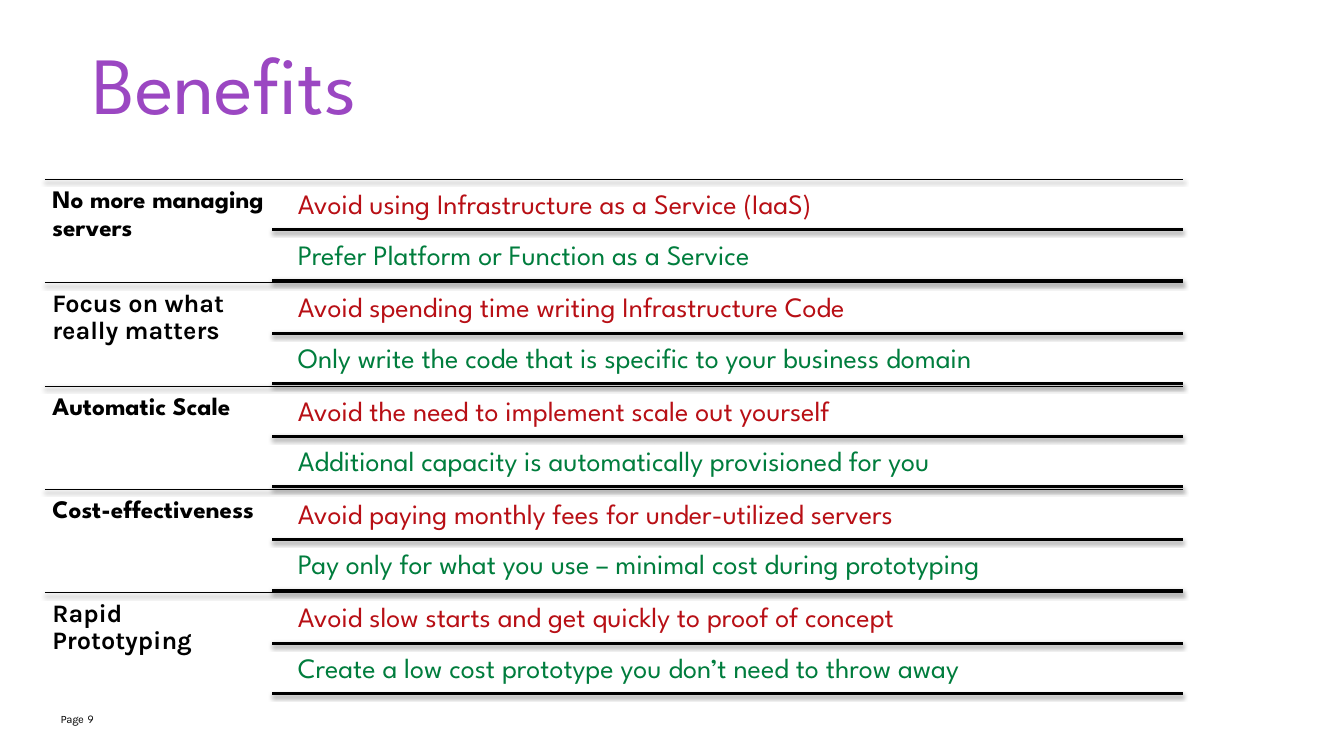
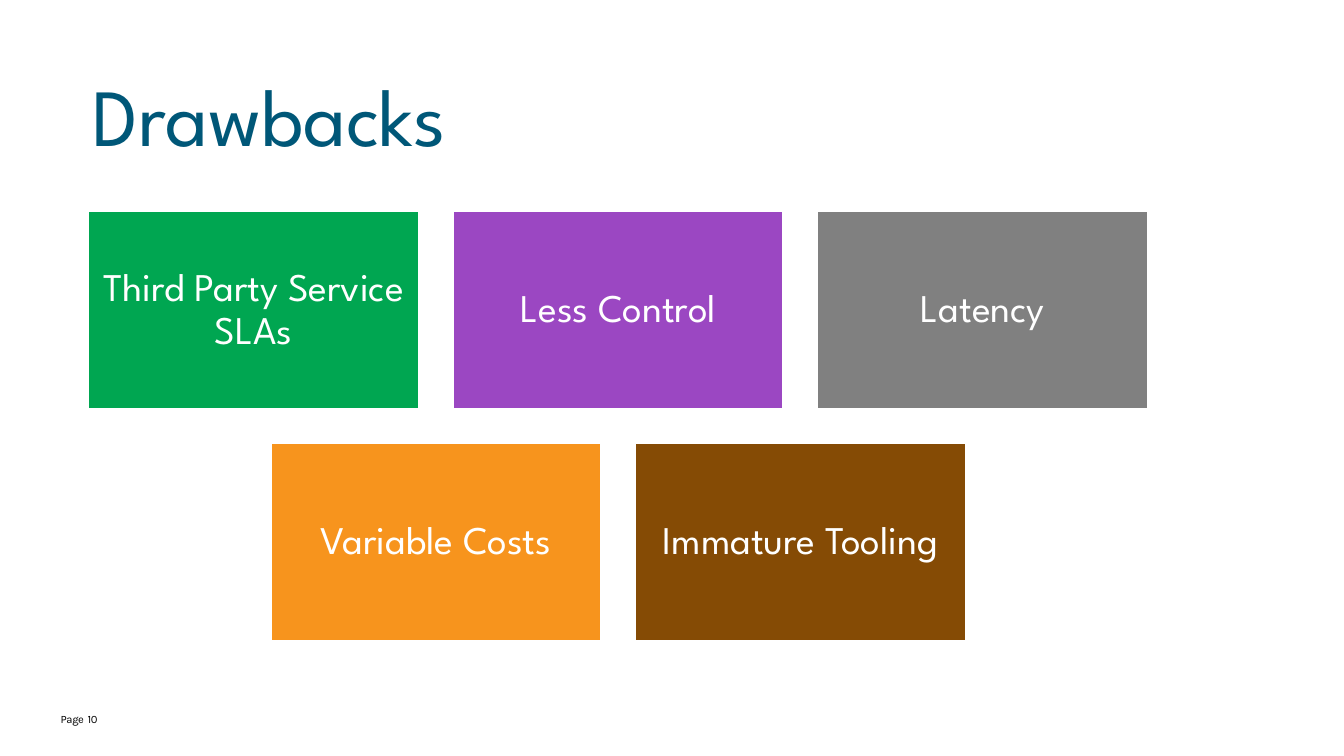
from lxml import etree
from pptx import Presentation
from pptx.dml.color import RGBColor
from pptx.enum.shapes import MSO_CONNECTOR, MSO_SHAPE
from pptx.enum.text import MSO_ANCHOR, PP_ALIGN
from pptx.oxml.ns import qn
from pptx.util import Pt

LEFT, CENTER = PP_ALIGN.LEFT, PP_ALIGN.CENTER
TOP, MIDDLE, BOTTOM = MSO_ANCHOR.TOP, MSO_ANCHOR.MIDDLE, MSO_ANCHOR.BOTTOM
STRAIGHT, RECT = MSO_CONNECTOR.STRAIGHT, MSO_SHAPE.RECTANGLE

SPARTAN, KARLA = "League Spartan", "Karla"
BLACK, WHITE, PURPLE, BLUE = "000000", "FFFFFF", "9B47C2", "005778"
RED, DARK_GREEN = "B80F15", "007D3D"
GREEN, GRAY, ORANGE, BROWN = "00A651", "808080", "F7941D", "854B05"

BENEFITS = [
    ("No more managing servers", SPARTAN,
     "Avoid using Infrastructure as a Service (IaaS)",
     "Prefer Platform or Function as a Service"),
    ("Focus on what really matters", KARLA,
     "Avoid spending time writing Infrastructure Code",
     "Only write the code that is specific to your business domain"),
    ("Automatic Scale", SPARTAN,
     "Avoid the need to implement scale out yourself",
     "Additional capacity is automatically provisioned for you"),
    ("Cost-effectiveness", SPARTAN,
     "Avoid paying monthly fees for under-utilized servers",
     "Pay only for what you use – minimal cost during prototyping"),
    ("Rapid Prototyping", KARLA,
     "Avoid slow starts and get quickly to proof of concept",
     "Create a low cost prototype you don’t need to throw away"),
]
DRAWBACKS = [
    ("Third Party Service SLAs", GREEN),
    ("Less Control", PURPLE),
    ("Latency", GRAY),
    ("Variable Costs", ORANGE),
    ("Immature Tooling", BROWN),
]


def rgb(color):
    return RGBColor.from_string(color)


def write(sp, text, size=20, font=SPARTAN, color=BLACK, bold=False, align=LEFT,
          anchor=TOP, inset=0, leading=None, tracking=None):
    tf = sp.text_frame
    tf.word_wrap = True
    tf.vertical_anchor = anchor
    tf.margin_left = tf.margin_right = tf.margin_top = tf.margin_bottom = Pt(inset)
    p = tf.paragraphs[0]
    p.alignment = align
    if leading:
        p.line_spacing = leading
    r = p.add_run()
    r.text = text
    r.font.size, r.font.name, r.font.bold = Pt(size), font, bold
    r.font.color.rgb = rgb(color)
    if tracking:
        r.font._element.set("spc", str(round(tracking * 100)))


def add_text(s, text, left, top, width, height, **style):
    sp = s.shapes.add_textbox(Pt(left), Pt(top), Pt(width), Pt(height))
    write(sp, text, **style)


def add_rule(s, left, right, y, weight, opacity, distance):
    """Horizontal black line with a soft shadow straight below it."""
    line = s.shapes.add_connector(STRAIGHT, Pt(left), Pt(y), Pt(right), Pt(y))
    line.line.color.rgb = rgb(BLACK)
    line.line.width = Pt(weight)
    effects = etree.SubElement(line._element.spPr, qn("a:effectLst"))
    shadow = etree.SubElement(effects, qn("a:outerShdw"), blurRad=str(Pt(3.1)),
                              dist=str(Pt(distance)), dir="5400000", rotWithShape="0")
    shade = etree.SubElement(shadow, qn("a:srgbClr"), val=BLACK)
    etree.SubElement(shade, qn("a:alpha"), val=str(opacity * 1000))


def add_frame(prs, title, color, title_height, page, page_font):
    """Blank slide with the shared title and page number."""
    s = prs.slides.add_slide(prs.slide_layouts[6])
    add_text(s, title, 66, 26, 791, title_height, size=58, color=color,
             anchor=BOTTOM, leading=Pt(50))
    small = dict(size=8, tracking=-0.3)
    add_text(s, "Page", 43.4, 509, 21.6, 24.5, font=KARLA, **small)
    add_text(s, page, 62.6, 509, 17.3, 24.5, font=page_font, **small)
    return s


def add_benefit(s, left, top, width, height, benefit):
    """One heading with its two ruled statements."""
    heading, font, avoid, prefer = benefit
    label_width, indent, gap = width * 0.2, 12.2, 1.8
    step = (height - gap) / 2
    right, split = left + width, left + label_width
    add_rule(s, left, right, top, 0.75, 35, 1.8)
    add_text(s, heading, left, top, label_width, height, size=18, font=font,
             bold=True, inset=5.4, leading=0.9)
    for i, (text, color) in enumerate([(avoid, RED), (prefer, DARK_GREEN)]):
        y = top + i * step
        add_text(s, text, split + indent, y + gap, right - split - indent,
                 step - gap, color=color, inset=6, leading=0.9)
        add_rule(s, split, right, y + step, 2, 38, 1.6)


def add_benefits(s, left, top, width, height):
    row = height / len(BENEFITS)
    for i, benefit in enumerate(BENEFITS):
        add_benefit(s, left, top + i * row, width, row, benefit)


def add_drawbacks(s, left, top, width, columns=3):
    """Tiles in centred rows; the gap is a tenth of a tile's width."""
    tile = width / (columns + (columns - 1) * 0.1)
    gap, height = tile * 0.1, tile * 0.6
    for start in range(0, len(DRAWBACKS), columns):
        row = DRAWBACKS[start:start + columns]
        x = left + (columns - len(row)) * (tile + gap) / 2
        y = top + start // columns * (height + gap)
        for i, (text, color) in enumerate(row):
            sp = s.shapes.add_shape(RECT, Pt(x + i * (tile + gap)), Pt(y),
                                    Pt(tile), Pt(height))
            sp.shadow.inherit = False
            sp.fill.solid()
            sp.fill.fore_color.rgb = rgb(color)
            sp.line.color.rgb = rgb(WHITE)
            sp.line.width = Pt(2)
            write(sp, text, size=28, color=WHITE, align=CENTER, anchor=MIDDLE,
                  inset=8.4, leading=0.9)


def main():
    prs = Presentation()
    prs.slide_width, prs.slide_height = Pt(960), Pt(540)

    s = add_frame(prs, "Benefits", PURPLE, 67.7, "9", SPARTAN)
    add_benefits(s, 32, 128.2, 813.2, 369)

    s = add_frame(prs, "Drawbacks", BLUE, 90, "10", KARLA)
    add_drawbacks(s, 62.8, 150.6, 757.6)

    prs.save("out.pptx")


if __name__ == "__main__":
    main()
